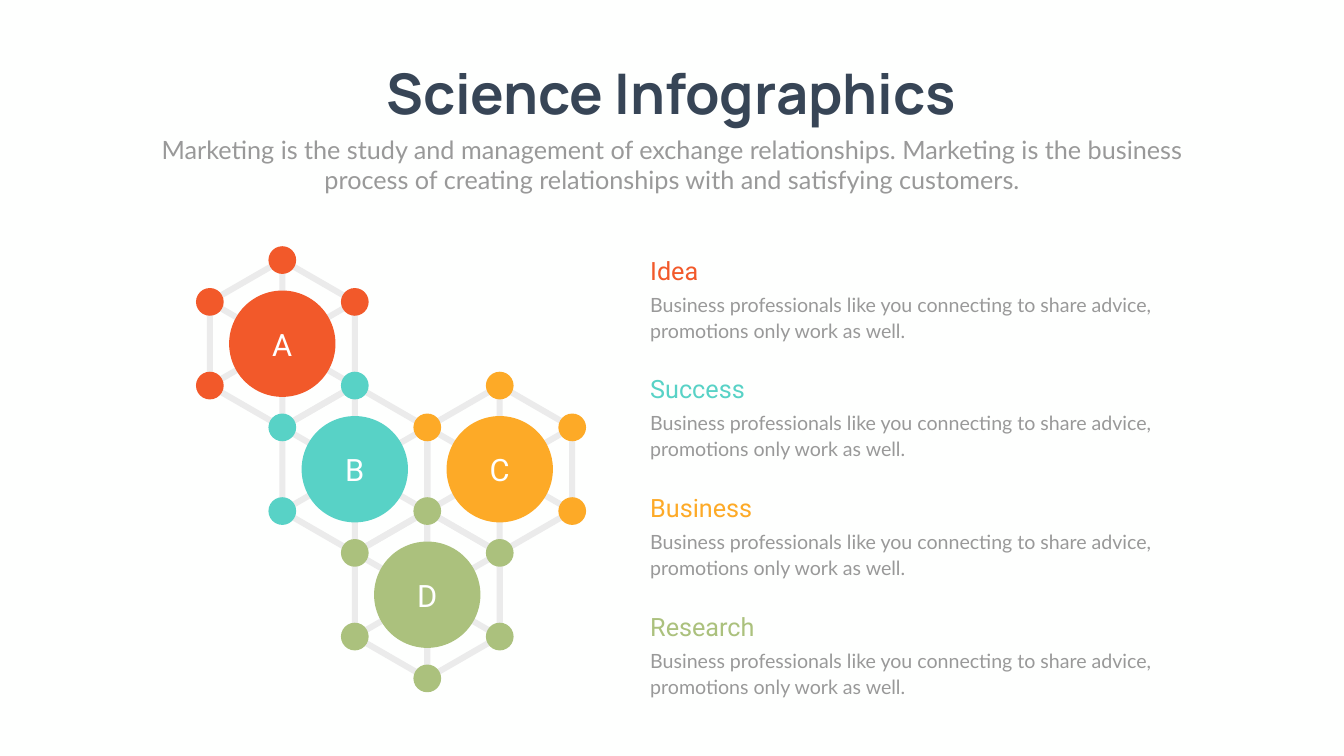
import math
from dataclasses import dataclass

from pptx import Presentation
from pptx.dml.color import RGBColor
from pptx.enum.shapes import MSO_SHAPE
from pptx.enum.text import MSO_ANCHOR, MSO_AUTO_SIZE, PP_ALIGN
from pptx.shapes.autoshape import Shape
from pptx.slide import Slide
from pptx.text.text import TextFrame
from pptx.util import Inches, Pt

OVAL, RECTANGLE = MSO_SHAPE.OVAL, MSO_SHAPE.RECTANGLE
MIDDLE = MSO_ANCHOR.MIDDLE
GROW = MSO_AUTO_SIZE.SHAPE_TO_FIT_TEXT
LEFT, CENTER = PP_ALIGN.LEFT, PP_ALIGN.CENTER

COLORS = {
    "background": "FEFFFE",
    "title": "374556",
    "body": "999999",
    "bond": "EBEBEB",
    "white": "FFFFFF",
    "orange": "F2592A",
    "teal": "58D2C6",
    "yellow": "FDAA27",
    "green": "ABC17D",
}

# Centres and corners sit on a lattice: half a hexagon wide, half a radius high.
HEXAGON_RADIUS = 1.66
COLUMN_STEP = HEXAGON_RADIUS * math.cos(math.pi / 6)
ROW_STEP = HEXAGON_RADIUS / 2
FIRST_X, FIRST_Y = 5.6, 6.82
CORNERS = [(0, -2), (1, -1), (1, 1), (0, 2), (-1, 1), (-1, -1)]

BOND_WIDTH = 0.12
SPOKE_LENGTH = 3.76
DOT_SIZE = 0.55
CORE_SIZE = 2.11
UNITS_PER_INCH = 1000
TEXT_LEFT = 12.8
HEADING_HEIGHT = 0.71
DESCRIPTION = (
    "Business professionals like you connecting to share advice, "
    "promotions only work as well."
)


@dataclass
class Topic:
    letter: str
    heading: str
    color: str
    column: int
    row: int
    text_top: float


@dataclass
class TextStyle:
    font: str
    size: float
    color: str
    bold: bool = False
    align: PP_ALIGN = LEFT
    line_spacing: float | None = None


TITLE = TextStyle("Manrope", 80, "title", bold=True, align=CENTER)
SUBTITLE = TextStyle("Lato", 36, "body", align=CENTER)
LETTER = TextStyle("Roboto", 44, "white", align=CENTER)
BODY = TextStyle("Lato", 28, "body", line_spacing=36.6)

TOPICS = [
    Topic("A", "Idea", "orange", 0, 0, 5.02),
    Topic("B", "Success", "teal", 1, 3, 7.36),
    Topic("C", "Business", "yellow", 3, 3, 9.72),
    Topic("D", "Research", "green", 2, 6, 12.08),
]


def rgb(name: str) -> RGBColor:
    return RGBColor.from_string(COLORS[name])


def write(text_frame: TextFrame, text: str, style: TextStyle) -> None:
    text_frame.text = text
    paragraph = text_frame.paragraphs[0]
    paragraph.alignment = style.align
    if style.line_spacing:
        paragraph.line_spacing = Pt(style.line_spacing)
    font = paragraph.runs[0].font
    font.name = style.font
    font.size = Pt(style.size)
    font.bold = style.bold
    font.color.rgb = rgb(style.color)


def add_text(slide: Slide, left: float, top: float, width: float, height: float,
             text: str, style: TextStyle, wrap: bool = True) -> None:
    box = slide.shapes.add_textbox(
        Inches(left), Inches(top), Inches(width), Inches(height))
    box.text_frame.word_wrap = wrap
    box.text_frame.auto_size = GROW
    write(box.text_frame, text, style)


def paint(shape: Shape, color: str) -> None:
    shape.shadow.inherit = False
    shape.fill.solid()
    shape.fill.fore_color.rgb = rgb(color)
    shape.line.fill.background()


def lattice_point(column: int, row: int) -> tuple[float, float]:
    return FIRST_X + column * COLUMN_STEP, FIRST_Y + row * ROW_STEP


def add_centered(slide: Slide, kind: MSO_SHAPE, center: tuple[float, float],
                 width: float, height: float, color: str) -> Shape:
    x, y = center
    shape = slide.shapes.add_shape(
        kind, Inches(x - width / 2), Inches(y - height / 2),
        Inches(width), Inches(height))
    paint(shape, color)
    return shape


def add_ring(slide: Slide, center: tuple[float, float]) -> None:
    """Draw a hexagonal frame as an outer outline with an inner cut-out."""
    half_width = BOND_WIDTH / 2 / math.cos(math.pi / 6)
    x, y = center

    def outline(radius: float) -> list[tuple[float, float]]:
        scale = radius / HEXAGON_RADIUS
        return [((x + column * COLUMN_STEP * scale) * UNITS_PER_INCH,
                 (y + row * ROW_STEP * scale) * UNITS_PER_INCH)
                for column, row in CORNERS]

    outer = outline(HEXAGON_RADIUS + half_width)
    inner = outline(HEXAGON_RADIUS - half_width)[::-1]
    builder = slide.shapes.build_freeform(
        *outer[0], scale=Inches(1) / UNITS_PER_INCH)
    builder.add_line_segments(outer[1:], close=True)
    builder.move_to(*inner[0])
    builder.add_line_segments(inner[1:], close=True)
    paint(builder.convert_to_shape(), "bond")


def add_bonds(slide: Slide, topic: Topic) -> None:
    center = lattice_point(topic.column, topic.row)
    for rotation in (0, 60, 300):
        spoke = add_centered(
            slide, RECTANGLE, center, BOND_WIDTH, SPOKE_LENGTH, "bond")
        spoke.rotation = rotation
    add_ring(slide, center)


def add_dots(slide: Slide) -> None:
    """Draw one dot per corner; a shared corner takes the later topic's colour."""
    dots = {
        (topic.column + column, topic.row + row): topic.color
        for topic in TOPICS for column, row in CORNERS
    }
    for position, color in dots.items():
        add_centered(
            slide, OVAL, lattice_point(*position), DOT_SIZE, DOT_SIZE, color)


def add_core(slide: Slide, topic: Topic) -> None:
    center = lattice_point(topic.column, topic.row)
    core = add_centered(slide, OVAL, center, CORE_SIZE, CORE_SIZE, topic.color)
    core.text_frame.vertical_anchor = MIDDLE
    write(core.text_frame, topic.letter, LETTER)


def add_description(slide: Slide, topic: Topic) -> None:
    heading = TextStyle("Roboto", 36, topic.color)
    add_text(slide, TEXT_LEFT, topic.text_top + HEADING_HEIGHT, 10.14, 1.09,
             DESCRIPTION, BODY)
    add_text(slide, TEXT_LEFT, topic.text_top, 3.26, HEADING_HEIGHT,
             topic.heading, heading)


def main() -> None:
    presentation = Presentation()
    presentation.slide_width = Inches(26.66)
    presentation.slide_height = Inches(15)
    slide = presentation.slides.add_slide(presentation.slide_layouts[6])
    slide.background.fill.solid()
    slide.background.fill.fore_color.rgb = rgb("background")

    add_text(slide, 7.16, 1.12, 12.33, 1.45, "Science Infographics", TITLE, wrap=False)
    add_text(
        slide, 2.92, 2.61, 20.82, 1.31,
        "Marketing is the study and management of exchange relationships. "
        "Marketing is the business process of creating relationships with "
        "and satisfying customers.", SUBTITLE)
    for topic in TOPICS:
        add_bonds(slide, topic)
    add_dots(slide)
    for topic in TOPICS:
        add_core(slide, topic)
        add_description(slide, topic)
    presentation.save("out.pptx")


if __name__ == "__main__":
    main()
